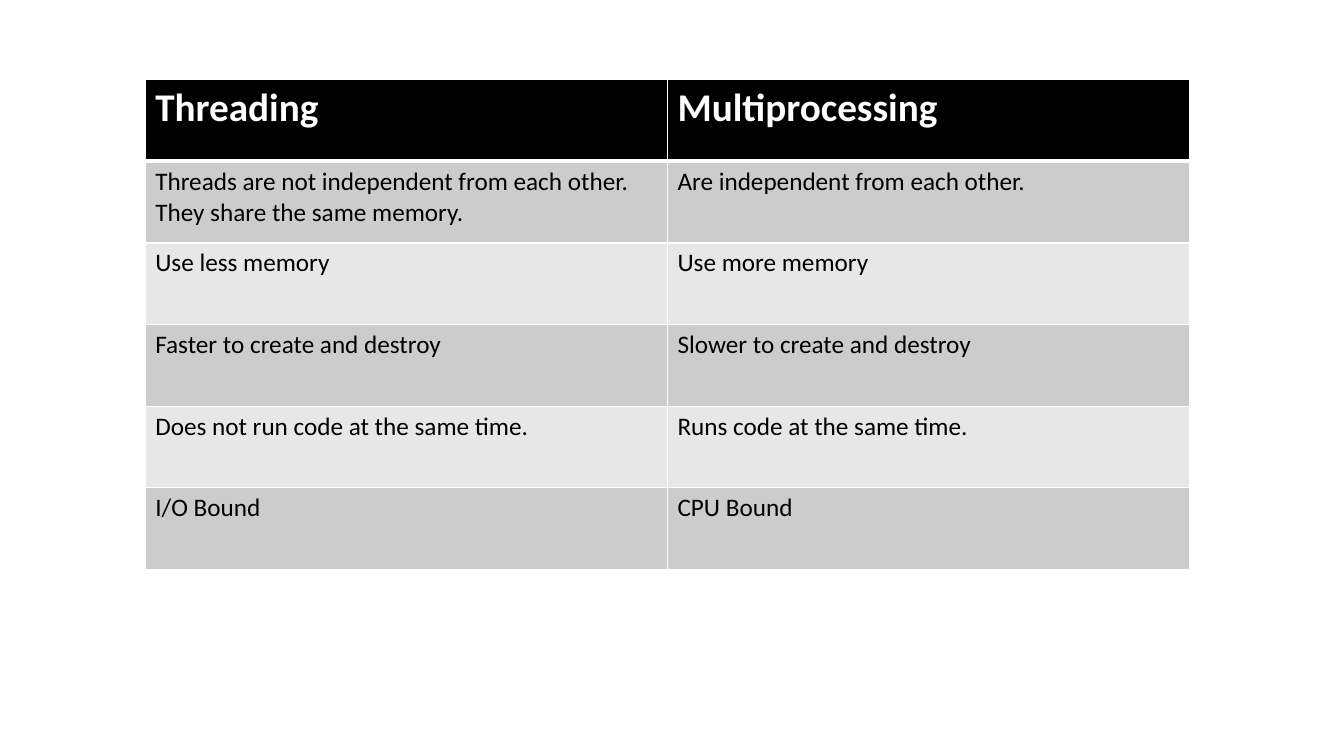
"""Build a slide with a table comparing threading and multiprocessing."""
from lxml import etree
from pptx import Presentation
from pptx import util as u
from pptx.dml.color import RGBColor
from pptx.oxml.ns import qn

WHITE = RGBColor(0xFF, 0xFF, 0xFF)
BLACK = RGBColor(0x00, 0x00, 0x00)
DARK_BAND = RGBColor(0xCC, 0xCC, 0xCC)
LIGHT_BAND = RGBColor(0xE7, 0xE7, 0xE7)

COMPARISON = [
    ("Threading", "Multiprocessing"),
    ("Threads are not independent from each other. They share the same memory.",
     "Are independent from each other."),
    ("Use less memory", "Use more memory"),
    ("Faster to create and destroy", "Slower to create and destroy"),
    ("Does not run code at the same time.", "Runs code at the same time."),
    ("I/O Bound", "CPU Bound"),
]
COLUMN_WIDTH, ROW_HEIGHT = 5.18, 0.81


def add_border(cell, side, points):
    """Draw one white edge of a cell."""
    edge = etree.SubElement(cell._tc.get_or_add_tcPr(), qn(f"a:{side}"),
                            w=str(u.Pt(points)))
    fill = etree.SubElement(edge, qn("a:solidFill"))
    etree.SubElement(fill, qn("a:srgbClr"), val=str(WHITE))


deck = Presentation()
deck.slide_width, deck.slide_height = u.Inches(13.33), u.Inches(7.5)
slide = deck.slides.add_slide(deck.slide_layouts[6])

comparison = slide.shapes.add_table(
    len(COMPARISON), 2, u.Inches(1.44), u.Inches(0.79),
    u.Inches(2 * COLUMN_WIDTH), u.Inches(len(COMPARISON) * ROW_HEIGHT)).table
for column in comparison.columns:
    column.width = u.Inches(COLUMN_WIDTH)

for r, wording in enumerate(COMPARISON):
    comparison.rows[r].height = u.Inches(ROW_HEIGHT)
    heading = r == 0
    band = BLACK if heading else DARK_BAND if r % 2 else LIGHT_BAND
    for c, words in enumerate(wording):
        cell = comparison.cell(r, c)
        for side in ("lnL", "lnR", "lnT", "lnB"):
            under_heading = (r, side) in ((0, "lnB"), (1, "lnT"))
            add_border(cell, side, 3 if under_heading else 1)
        cell.fill.solid()
        cell.fill.fore_color.rgb = band
        cell.text = words
        font = cell.text_frame.paragraphs[0].font
        font.name = "Calibri"
        font.size = u.Pt(28 if heading else 18)
        font.bold = heading
        font.color.rgb = WHITE if heading else BLACK

deck.save("out.pptx")
